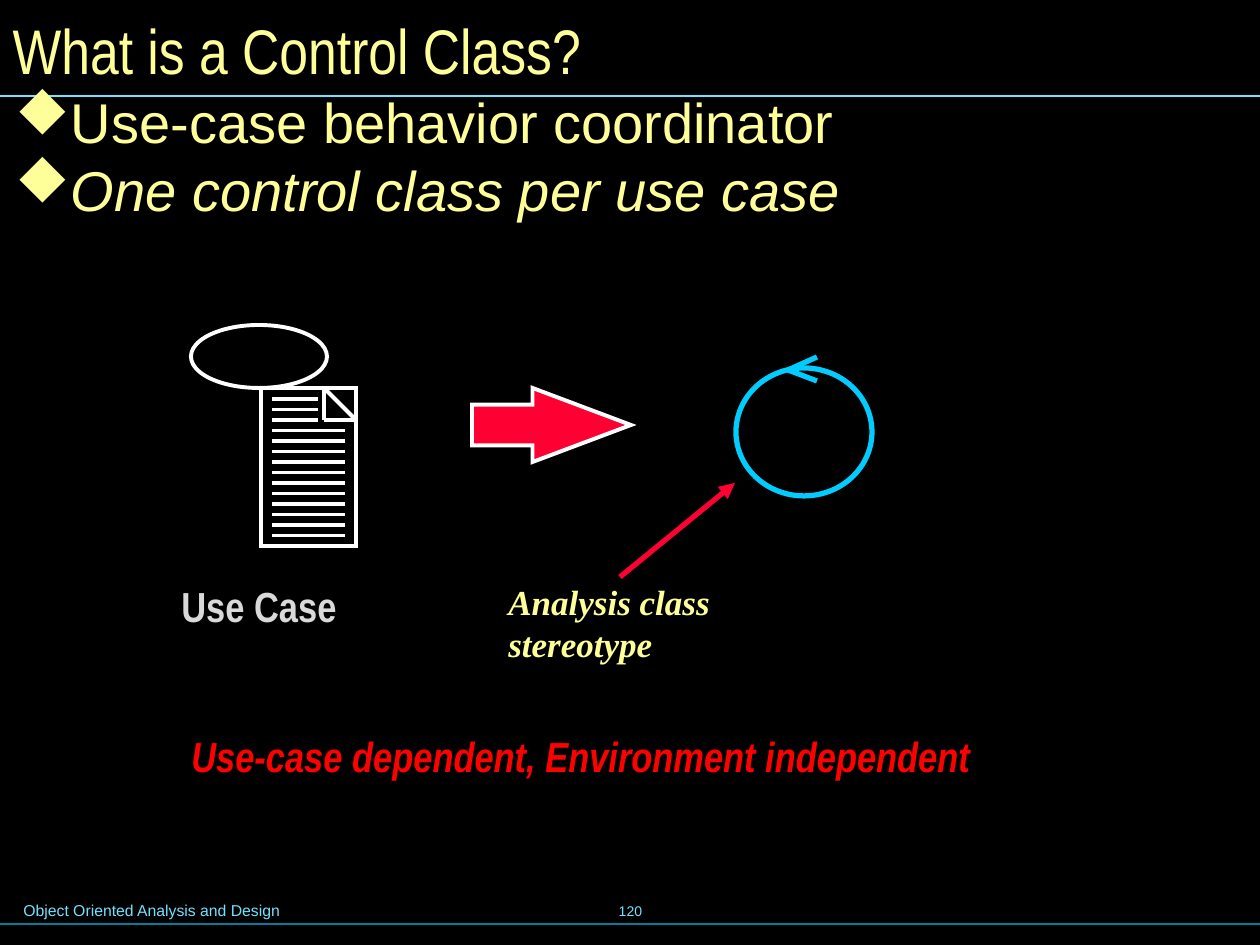
from lxml.etree import SubElement
from pptx import Presentation
from pptx.dml.color import RGBColor
from pptx.enum.shapes import MSO_CONNECTOR, MSO_SHAPE
from pptx.enum.text import MSO_ANCHOR as Anchor, MSO_AUTO_SIZE as AutoSize, PP_ALIGN as Align
from pptx.oxml.ns import qn
from pptx.util import Pt

PX = 914400 / 126
BLACK = RGBColor(0x00, 0x00, 0x00)
WHITE = RGBColor(0xFF, 0xFF, 0xFF)
GRAY = RGBColor(0xD9, 0xD9, 0xD9)
YELLOW = RGBColor(0xFF, 0xFF, 0x99)
RED = RGBColor(0xFF, 0x00, 0x00)
CRIMSON = RGBColor(0xFF, 0x00, 0x33)
SKY = RGBColor(0x00, 0xCC, 0xFF)
PALE_BLUE = RGBColor(0x73, 0xE1, 0xFF)
TEAL = RGBColor(0x00, 0x7E, 0x9F)


def px(*lengths):
    """Turn pixel lengths into EMU."""
    return [round(length * PX) for length in lengths]


def add_line(shapes, ends, color, width):
    line = shapes.add_connector(MSO_CONNECTOR.STRAIGHT, *px(*ends))
    line.line.color.rgb = color
    line.line.width = Pt(width)
    SubElement(line._element.spPr, qn("a:effectLst"))
    return line


presentation = Presentation()
presentation.slide_width, presentation.slide_height = px(1260, 945)
slide = presentation.slides.add_slide(presentation.slide_layouts[5])
slide.background.fill.solid()
slide.background.fill.fore_color.rgb = BLACK

# Rules above the footer and below the title
add_line(slide.shapes, (0, 924, 1265, 924), TEAL, 0.75)
add_line(slide.shapes, (0, 96, 1260, 96), PALE_BLUE, 0.75)

# Title
title = slide.shapes.title
title.left, title.top, title.width, title.height = px(0, 0, 1251, 98)
title.text_frame.text = "What is a Control Class?"
title.text_frame.auto_size = AutoSize.NONE
title.text_frame.vertical_anchor = Anchor.MIDDLE
paragraph = title.text_frame.paragraphs[0]
paragraph.alignment = Align.LEFT
font = paragraph.runs[0].font
font.name, font.size, font.color.rgb = "Arial Narrow", Pt(36), YELLOW

# Bullets
body = slide.shapes.add_textbox(*px(0, 98, 1169, 137)).text_frame
body.word_wrap = True
body.margin_left, body.margin_top, body.margin_right, body.margin_bottom = px(15, 8, 15, 8)
body.text = "Use-case behavior coordinator\nOne control class per use case"
indent, = px(47)
for index, paragraph in enumerate(body.paragraphs):
    paragraph.line_spacing = 0.7
    paragraph.space_before = Pt(12 * index)
    properties = paragraph._p.get_or_add_pPr()
    properties.set("marL", str(indent))
    properties.set("indent", str(-indent))
    bullet_color = SubElement(properties, qn("a:buClr"))
    SubElement(bullet_color, qn("a:srgbClr"), val=str(YELLOW))
    # The letter u is a solid diamond in Wingdings
    SubElement(properties, qn("a:buFont"), typeface="Wingdings", pitchFamily="2", charset="2")
    SubElement(properties, qn("a:buChar"), char="u")
    font = paragraph.runs[0].font
    font.name, font.size, font.color.rgb = "Arial", Pt(32), YELLOW
    font.italic = index == 1

# Labels: text, box, font, size, color, bold, italic, wrap
labels = [
    ("Object Oriented Analysis and Design", (11, 895, 643, 32), "Arial", 9, PALE_BLUE, False, False, True),
    ("120", (431, 879, 399, 63), "Arial", 8, PALE_BLUE, False, False, False),
    ("Use Case", (169, 574, 180, 63), "Arial Narrow", 24, GRAY, True, False, False),
    ("Use-case dependent, Environment independent", (179, 724, 945, 63),
     "Arial Narrow", 24, RED, True, True, True),
    ("Analysis class stereotype", (496, 574, 289, 99), "Times New Roman", 20, YELLOW, True, True, True),
]
for text, box, name, size, color, bold, italic, wrap in labels:
    frame = slide.shapes.add_textbox(*px(*box)).text_frame
    frame.word_wrap = wrap
    frame.text = text
    if text == "120":
        frame.vertical_anchor = Anchor.MIDDLE
        frame.paragraphs[0].alignment = Align.CENTER
    font = frame.paragraphs[0].runs[0].font
    font.name, font.size, font.color.rgb = name, Pt(size), color
    font.bold, font.italic = bold, italic

# Outlined shapes
use_case = slide.shapes.add_group_shape().shapes
control_class = slide.shapes.add_group_shape().shapes
outlines = [
    (slide.shapes, MSO_SHAPE.RIGHT_ARROW, (472, 388, 159, 74), CRIMSON, WHITE, 2.25),
    (use_case, MSO_SHAPE.OVAL, (191, 325, 136, 63), None, WHITE, 2.25),
    (use_case, MSO_SHAPE.RECTANGLE, (261, 388, 95, 158), None, WHITE, 2.25),
    (control_class, MSO_SHAPE.OVAL, (736, 368, 136, 128), None, SKY, 3),
]
for shapes, kind, box, fill, color, width in outlines:
    shape = shapes.add_shape(kind, *px(*box))
    shape.shadow.inherit = False
    if fill is None:
        shape.fill.background()
    else:
        shape.fill.solid()
        shape.fill.fore_color.rgb = fill
    shape.line.color.rgb = color
    shape.line.width = Pt(width)
    SubElement(shape.line._get_or_add_ln(), qn("a:miter"), lim="800000")
    if kind == MSO_SHAPE.RIGHT_ARROW:
        shape.adjustments[0], shape.adjustments[1] = 0.55, 1.33

# Document: folded corner and lines of writing
for ends in [(324, 388, 356, 420), (324, 388, 324, 420), (356, 420, 324, 420)]:
    add_line(use_case, ends, WHITE, 2.25)
for row in range(14):
    y = 399 + row * 10.5
    add_line(use_case, (272, y, 318 if row < 3 else 345, y), WHITE, 2.25)

# Control class arrowhead
for y in (357, 381):
    add_line(control_class, (817, y, 788, 370), SKY, 3)

# Pointer from the stereotype label to the control class
pointer = add_line(slide.shapes, (620, 577, 735, 483), CRIMSON, 3)
SubElement(pointer.line._get_or_add_ln(), qn("a:tailEnd"), type="triangle")

presentation.save("out.pptx")
